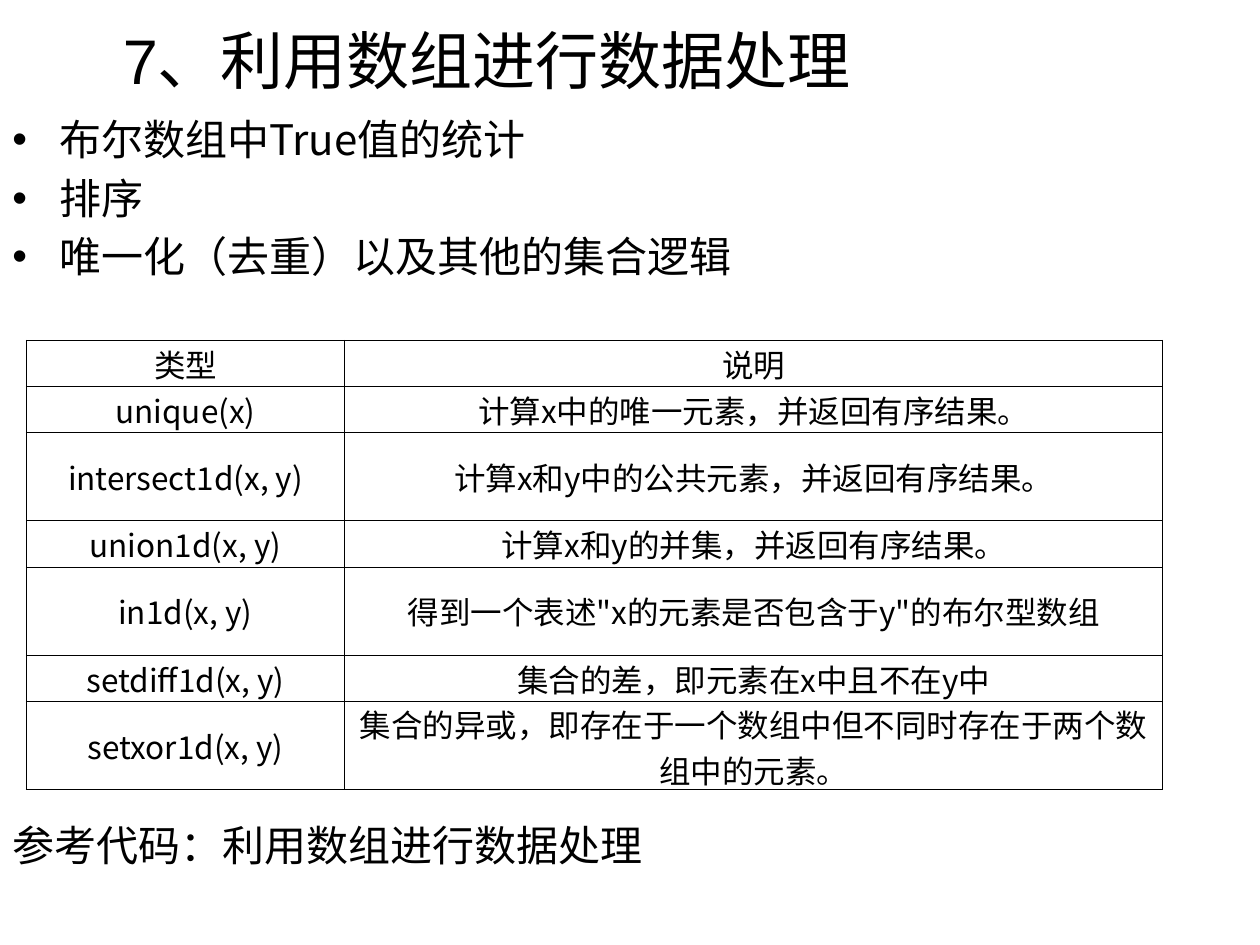
from lxml.etree import SubElement
from pptx import Presentation
from pptx.dml.color import RGBColor
from pptx.enum.text import MSO_ANCHOR, PP_ALIGN
from pptx.oxml.ns import qn
from pptx.util import Cm, Pt

TITLE = "7、利用数组进行数据处理"
TOPICS = ["布尔数组中True值的统计", "排序", "唯一化（去重）以及其他的集合逻辑"]
REFERENCE = "参考代码：利用数组进行数据处理"
SET_FUNCTIONS = [
    ("类型", "说明"),
    ("unique(x)", "计算x中的唯一元素，并返回有序结果。"),
    ("intersect1d(x, y)", "计算x和y中的公共元素，并返回有序结果。"),
    ("union1d(x, y)", "计算x和y的并集，并返回有序结果。"),
    ("in1d(x, y)", '得到一个表述"x的元素是否包含于y"的布尔型数组'),
    ("setdiff1d(x, y)", "集合的差，即元素在x中且不在y中"),
    ("setxor1d(x, y)", "集合的异或，即存在于一个数组中但不同时存在于两个数组中的元素。"),
]
COLUMN_WIDTHS = [6.42, 16.49]
SHORT_ROW, TALL_ROW = 0.93, 1.78
TALL_ROWS = {2, 4, 6}
BODY_FONT = "Noto Sans CJK SC"
BLACK, WHITE = "000000", "FFFFFF"


def paint(color_format, color):
    color_format.rgb = RGBColor.from_string(color)


def format_runs(paragraph, size, font):
    for run in paragraph.runs:
        run.font.size = Pt(size)
        run.font.name = font
        paint(run.font.color, BLACK)
        if font == BODY_FONT:
            SubElement(run.font._element, qn("a:ea"), typeface=font)


def add_lines(slide, lines, top, height, bulleted):
    box = slide.shapes.add_textbox(Cm(0), Cm(top), Cm(25.4), Cm(height))
    frame = box.text_frame
    frame.word_wrap = True
    frame.text = "\n".join(lines)
    for paragraph in frame.paragraphs:
        paragraph.line_spacing = Pt(33.4)
        format_runs(paragraph, 24, BODY_FONT)
        if bulleted:
            properties = paragraph._p.get_or_add_pPr()
            properties.set("marL", str(Cm(0.95)))
            properties.set("indent", str(-Cm(0.95)))
            SubElement(properties, qn("a:buFont"), typeface="Arial")
            SubElement(properties, qn("a:buChar"), char="•")


def add_borders(cell):
    properties = cell._tc.get_or_add_tcPr()
    for side in ("lnL", "lnR", "lnT", "lnB"):
        line = SubElement(properties, qn(f"a:{side}"), w=str(Pt(0.5)))
        SubElement(SubElement(line, qn("a:solidFill")), qn("a:srgbClr"), val=BLACK)


def fill_cell(cell, text):
    cell.text_frame.text = text
    cell.vertical_anchor = MSO_ANCHOR.MIDDLE
    cell.margin_left = cell.margin_right = cell.margin_top = cell.margin_bottom = 0
    paragraph = cell.text_frame.paragraphs[0]
    paragraph.alignment = PP_ALIGN.CENTER
    format_runs(paragraph, 18, BODY_FONT)
    add_borders(cell)
    cell.fill.solid()
    paint(cell.fill.fore_color, WHITE)


def add_function_table(slide):
    heights = [TALL_ROW if i in TALL_ROWS else SHORT_ROW for i in range(len(SET_FUNCTIONS))]
    table = slide.shapes.add_table(
        len(SET_FUNCTIONS), len(COLUMN_WIDTHS),
        Cm(0.53), Cm(6.86), Cm(sum(COLUMN_WIDTHS)), Cm(sum(heights))).table
    table.first_row = table.horz_banding = False
    for column, width in zip(table.columns, COLUMN_WIDTHS):
        column.width = Cm(width)
    for row, height, texts in zip(table.rows, heights, SET_FUNCTIONS):
        row.height = Cm(height)
        for cell, text in zip(row.cells, texts):
            fill_cell(cell, text)


def main():
    presentation = Presentation()
    presentation.slide_width, presentation.slide_height = Cm(25.4), Cm(19.05)
    slide = presentation.slides.add_slide(presentation.slide_layouts[5])

    title = slide.shapes.title
    title.left, title.top, title.width, title.height = Cm(0), Cm(0), Cm(19.63), Cm(2.39)
    title.text_frame.text = TITLE
    title.text_frame.vertical_anchor = MSO_ANCHOR.MIDDLE
    heading = title.text_frame.paragraphs[0]
    heading.alignment = PP_ALIGN.CENTER
    format_runs(heading, 36, "Arial")

    add_lines(slide, TOPICS, 2.01, 3.8, True)
    add_function_table(slide)
    add_lines(slide, [REFERENCE], 16.23, 1.44, False)
    presentation.save("out.pptx")


if __name__ == "__main__":
    main()
